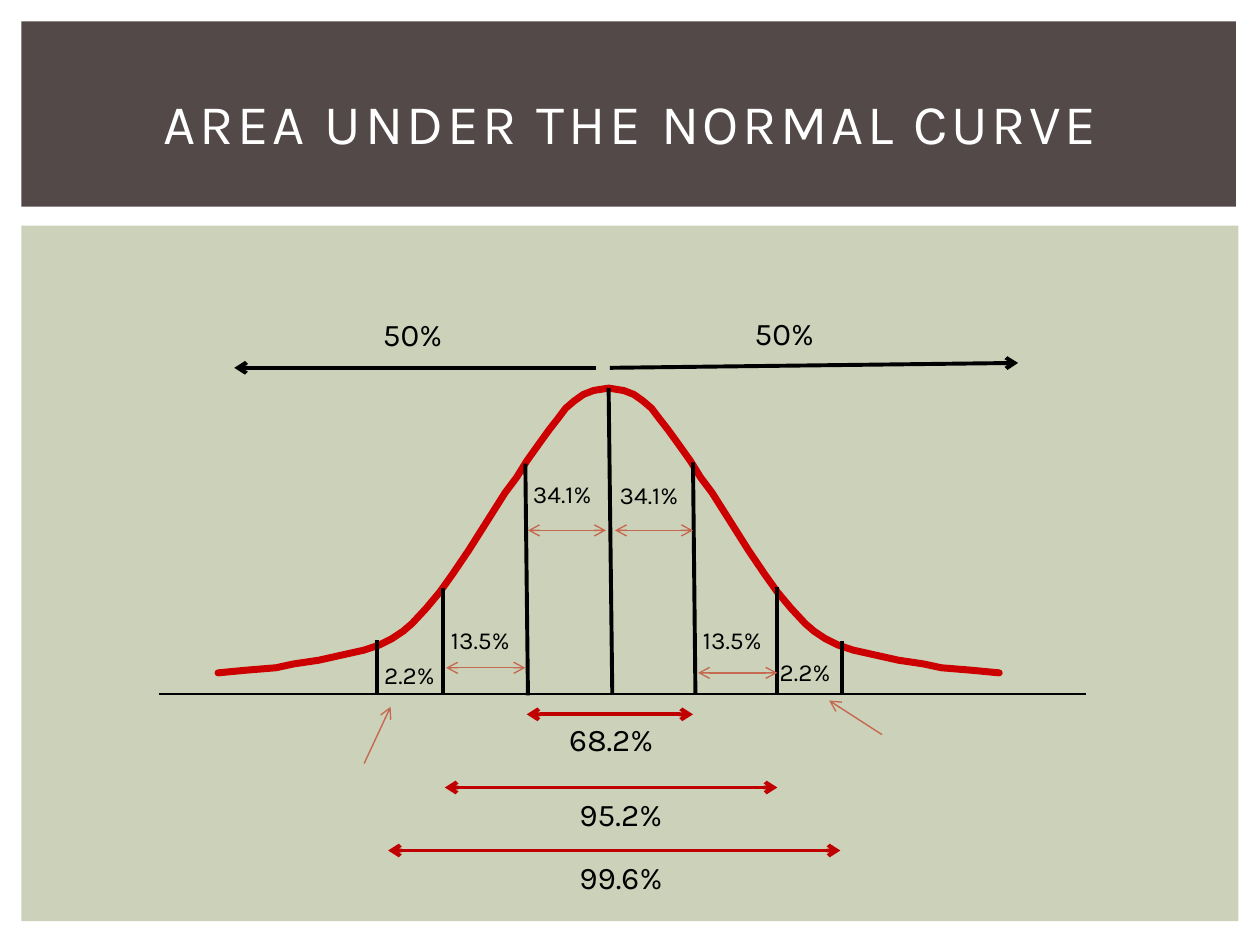
from dataclasses import dataclass

from lxml.etree import SubElement
from pptx import Presentation
from pptx.dml.color import RGBColor
from pptx.enum.shapes import MSO_CONNECTOR as CONN, MSO_SHAPE as SHAPE
from pptx.enum.text import MSO_ANCHOR as ANCHOR, MSO_AUTO_SIZE as AUTO, PP_ALIGN as ALIGN
from pptx.oxml.ns import qn
from pptx.util import Pt

FONT = "Karla"
BLACK, WHITE = "000000", "FFFFFF"
CURVE, SPAN, BAND = "CC0000", "C00000", "C66951"
CENTER = 347.8

HALF_CURVE = [
    (124.6, 384.5), (140.4, 383), (157.7, 381.6), (167.8, 379.4), (182.2, 377.3),
    (195.1, 374.4), (208.1, 371.5), (216.7, 368.6), (223.9, 365), (230.4, 360.7),
    (235.4, 356.4), (243.4, 347.8), (251.3, 338.4), (258.5, 328.3), (267.8, 314.6),
    (288.7, 281.5), (295.2, 272.9), (301, 263.5), (308.2, 253.4), (313.9, 245.5),
    (319, 239), (323.3, 233.3), (328.3, 229), (333.4, 225.4), (339.1, 223.2),
    (343.4, 222.5), (CENTER, 221.8),
]


@dataclass
class Line:
    x1: float
    y1: float
    x2: float
    y2: float
    color: str = BLACK
    width: float = 2.25
    head: bool = False
    tail: bool = False


@dataclass
class Label:
    text: str
    x: float
    y: float
    w: float
    size: float = 14
    wrap: bool = False


def span(x1: float, x2: float, y: float, color: str, width: float) -> Line:
    return Line(x1, y, x2, y, color, width, head=True, tail=True)


LINES = [
    Line(90.7, 396.7, 620.6, 396.7, width=1),
    Line(CENTER, 221.8, 349.9, 396.7),
    Line(396, 264.2, 397.4, 396.7),
    Line(300.2, 265, 301.7, 397.4),
    Line(253.4, 336.2, 253.4, 397.4),
    Line(444.2, 335.5, 444.2, 396.7),
    Line(215.3, 365.8, 215.3, 396.7),
    Line(481, 366.5, 481, 397.4),
    span(301, 396, 408.2, SPAN, 2.25),
    span(254.2, 444.2, 450, SPAN, 2.25),
    span(221.8, 480.2, 486, SPAN, 2.25),
    span(351.4, 396, 303.1, BAND, 0.79),
    span(301.7, 346.3, 303.1, BAND, 0.79),
    span(254.9, 300.2, 381.6, BAND, 0.79),
    span(398.9, 444.2, 384.5, BAND, 0.79),
    Line(504, 419.8, 473.8, 400.3, BAND, 0.79, tail=True),
    Line(208.1, 436.3, 223.2, 403.9, BAND, 0.79, tail=True),
    Line(348.5, 210.2, 581.8, 207.4, tail=True),
    Line(340.6, 210.2, 133.9, 210.2, tail=True),
]

LABELS = [
    Label("68.2%", 318.2, 408.2, 66.2, 18, True),
    Label("95.2%", 324, 450.7, 64.8, 18),
    Label("99.6%", 324, 486.7, 64.8, 18),
    Label("34.1%", 297.4, 270, 54, wrap=True),
    Label("34.1%", 347, 270.7, 54),
    Label("13.5%", 394.6, 353.5, 54),
    Label("13.5%", 250.6, 353.5, 54),
    Label("2.2%", 438.5, 372.2, 45.4),
    Label("2.2%", 212.4, 373.7, 45.4),
    Label("50%", 211.7, 176.4, 54.7, 18, True),
    Label("50%", 424.1, 175.7, 49.7, 18),
]


def rgb(color: str) -> RGBColor:
    return RGBColor.from_string(color)


def add_panel(s, x: float, y: float, w: float, h: float, color: str) -> None:
    sp = s.shapes.add_shape(SHAPE.RECTANGLE, Pt(x), Pt(y), Pt(w), Pt(h))
    sp.shadow.inherit = False
    sp.fill.solid()
    sp.fill.fore_color.rgb = rgb(color)
    sp.line.fill.background()


def add_text(s, text: str, x: float, y: float, w: float, h: float, *, size: float,
             color: str = BLACK, wrap: bool = True, grow: bool = True,
             align: ALIGN = ALIGN.LEFT, anchor: ANCHOR = ANCHOR.TOP,
             spacing: float = 0) -> None:
    tf = s.shapes.add_textbox(Pt(x), Pt(y), Pt(w), Pt(h)).text_frame
    tf.word_wrap = wrap
    tf.auto_size = AUTO.SHAPE_TO_FIT_TEXT if grow else AUTO.NONE
    tf.vertical_anchor = anchor
    p = tf.paragraphs[0]
    p.alignment = align
    r = p.add_run()
    r.text = text
    r.font.name = FONT
    r.font.size = Pt(size)
    r.font.color.rgb = rgb(color)
    if spacing:
        r.font._element.set("spc", str(int(spacing * 100)))


def add_line(s, line: Line) -> None:
    sp = s.shapes.add_connector(CONN.STRAIGHT, Pt(line.x1), Pt(line.y1),
                                Pt(line.x2), Pt(line.y2))
    sp.line.color.rgb = rgb(line.color)
    sp.line.width = Pt(line.width)
    ln = sp.line._get_or_add_ln()
    for tag, shown in (("a:headEnd", line.head), ("a:tailEnd", line.tail)):
        if shown:
            SubElement(ln, qn(tag), type="arrow")
    SubElement(sp._element.spPr, qn("a:effectLst"))


def add_curve(s, points: list[tuple[float, float]]) -> None:
    start, *rest = [(Pt(x), Pt(y)) for x, y in points]
    builder = s.shapes.build_freeform(*start)
    builder.add_line_segments(rest, close=False)
    sp = builder.convert_to_shape()
    sp.shadow.inherit = False
    sp.fill.background()
    sp.line.color.rgb = rgb(CURVE)
    sp.line.width = Pt(4)
    ln = sp.line._get_or_add_ln()
    ln.set("cap", "rnd")
    SubElement(ln, qn("a:round"))


def main() -> None:
    prs = Presentation()
    prs.slide_width, prs.slide_height = Pt(720), Pt(540)
    s = prs.slides.add_slide(prs.slide_layouts[6])
    add_panel(s, 12.24, 128.88, 695.52, 397.44, "CCD1B9")
    add_panel(s, 12.24, 12.24, 694.08, 105.84, "534949")
    add_text(s, "AREA UNDER THE NORMAL CURVE", 30.24, 28.08, 660.24, 82.8, size=32,
             color=WHITE, grow=False, align=ALIGN.CENTER, anchor=ANCHOR.MIDDLE, spacing=2)
    add_curve(s, [(2 * CENTER - x, y) for x, y in HALF_CURVE])
    add_curve(s, HALF_CURVE)
    for line in LINES:
        add_line(s, line)
    for label in LABELS:
        height = 28.8 if label.size == 18 else 24.5
        add_text(s, label.text, label.x, label.y, label.w, height,
                 size=label.size, wrap=label.wrap)
    prs.save("out.pptx")


if __name__ == "__main__":
    main()
